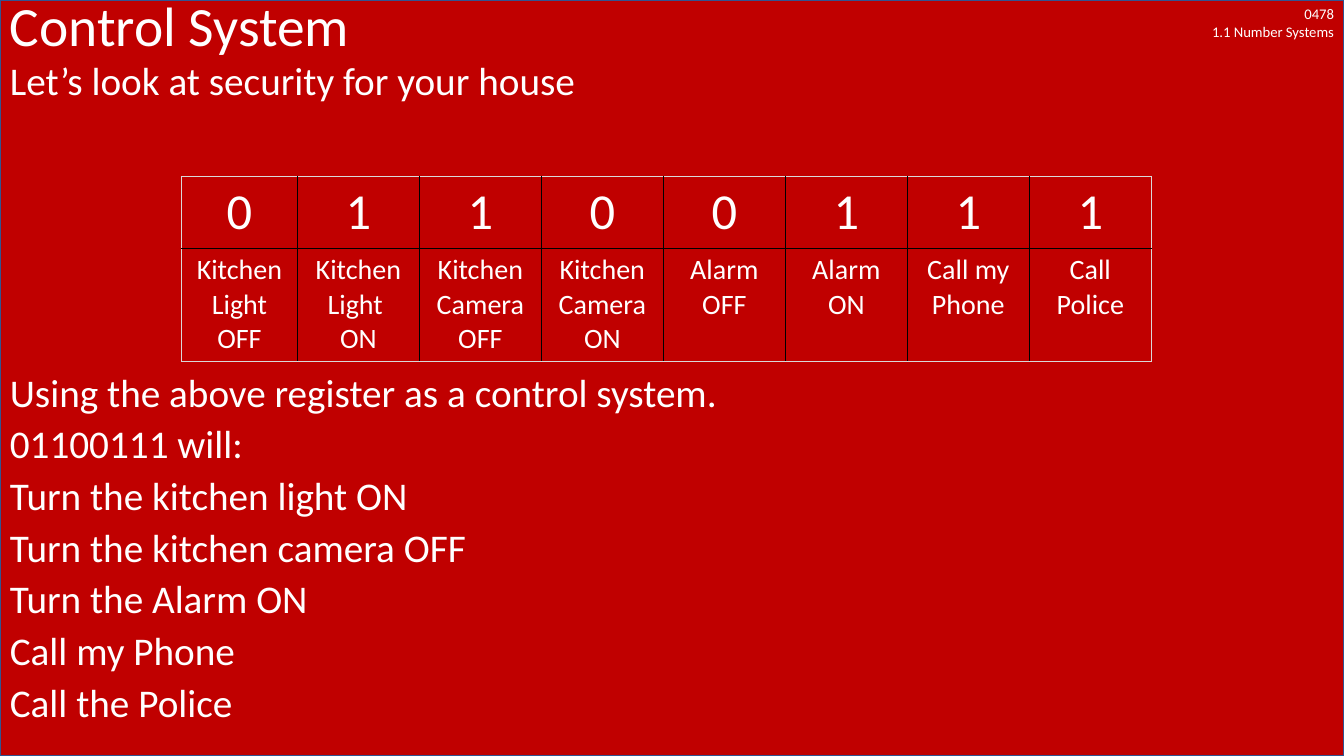
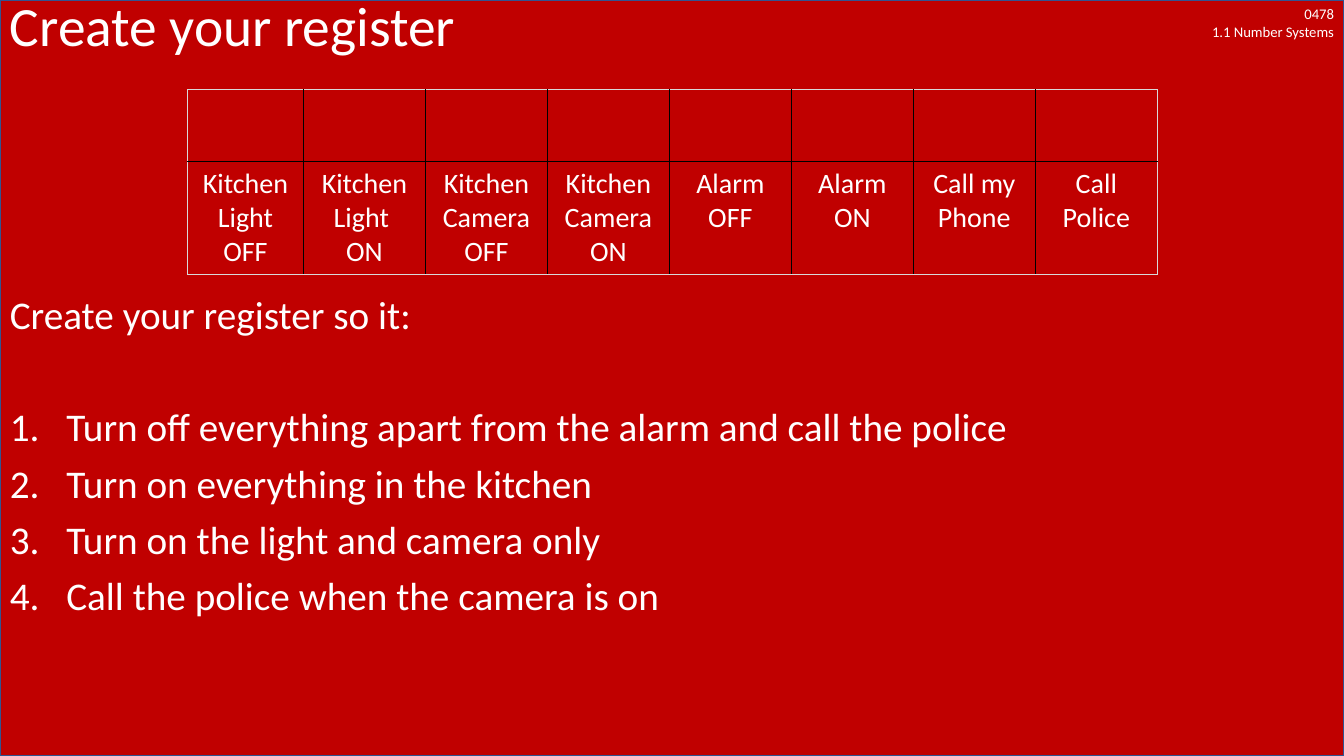
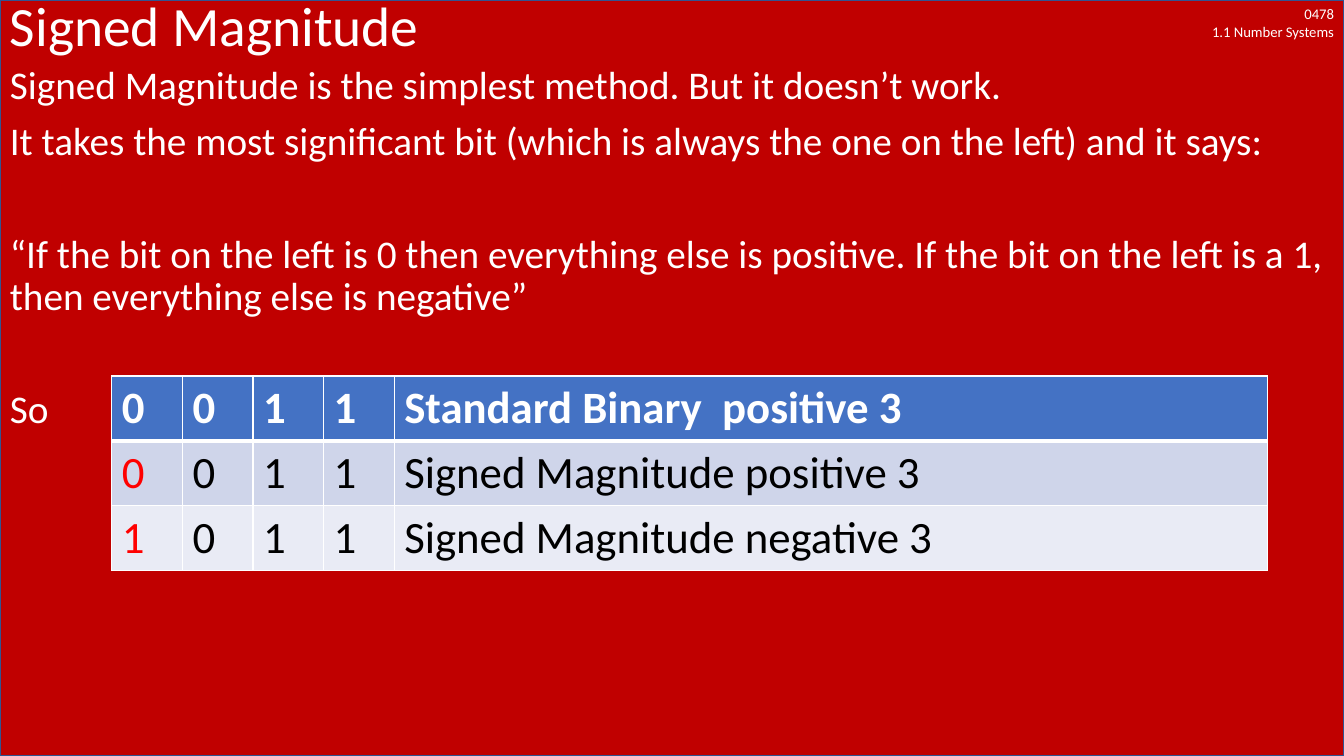
from dataclasses import dataclass

from lxml import etree
from pptx import Presentation
from pptx import util as u
from pptx.dml.color import RGBColor
from pptx.enum import shapes, text as t
from pptx.oxml.ns import qn


@dataclass(frozen=True)
class Theme:
    font: str = "Calibri"
    red: str = "C00000"
    frame: str = "325491"
    white: str = "FFFFFF"
    black: str = "000000"
    table_edge: str = "D9D9D9"
    table_head: str = "4472C4"
    bands: tuple = ("CFD5EA", "E9EBF5")
    sign_bit: str = "FF0000"
    title_size: float = 39.6
    body_size: float = 28
    header_size: float = 10.5
    bit_size: float = 36
    label_size: float = 20
    example_size: float = 32


THEME = Theme()
WIDTH, HEIGHT = 13.33, 7.5
PARAGRAPH_GAP = 10
SECTION_GAP = 50.3  # points: one skipped line and its spacing
NUMBER_INDENT = 0.56
REGISTER_COLUMNS = [1.15] + [1.21] * 7
REGISTER_ROWS = [0.71, 1.12]
REGISTER_LABELS = [
    "Kitchen Light OFF", "Kitchen Light \nON",
    "Kitchen Camera OFF", "Kitchen Camera ON",
    "Alarm OFF", "Alarm ON", "Call my Phone", "Call Police",
]


def write(frame, text, size=THEME.body_size, color=THEME.white, bold=False,
          align=t.PP_ALIGN.LEFT, spacing=1.0, before=0, numbered=False):
    """Append each line of text to the frame as a formatted paragraph."""
    for line in text.split("\n"):
        is_first = len(frame.paragraphs) == 1 and not frame.paragraphs[0].runs
        para = frame.paragraphs[0] if is_first else frame.add_paragraph()
        if numbered:
            props = para._p.get_or_add_pPr()
            props.set("marL", str(u.Inches(NUMBER_INDENT)))
            props.set("indent", str(-u.Inches(NUMBER_INDENT)))
            etree.SubElement(props, qn("a:buAutoNum"), type="arabicPeriod")
        para.alignment = align
        para.line_spacing = spacing
        para.space_before = u.Pt(0 if is_first else before)
        span = para.add_run()
        span.text = line
        span.font.name = THEME.font
        span.font.size = u.Pt(size)
        span.font.bold = bold
        span.font.color.rgb = RGBColor.from_string(color)


def set_borders(cell, **sides):
    """Draw cell sides L, R, T, B, each given as (colour, points)."""
    props = cell._tc.get_or_add_tcPr()
    for index, side in enumerate("LRTB"):
        color, points = sides[side]
        line = etree.Element(qn(f"a:ln{side}"), w=str(u.Pt(points)))
        fill = etree.SubElement(line, qn("a:solidFill"))
        etree.SubElement(fill, qn("a:srgbClr"), val=color)
        props.insert(index, line)


class Lesson:
    def __init__(self):
        self.deck = Presentation()
        self.deck.slide_width = u.Inches(WIDTH)
        self.deck.slide_height = u.Inches(HEIGHT)
        self.page = None

    def start_page(self, title):
        self.page = self.deck.slides.add_slide(self.deck.slide_layouts[6])
        back = self.page.shapes.add_shape(
            shapes.MSO_SHAPE.RECTANGLE, 0, 0, u.Inches(WIDTH), u.Inches(HEIGHT))
        back.shadow.inherit = False
        back.fill.solid()
        back.fill.fore_color.rgb = RGBColor.from_string(THEME.red)
        back.line.color.rgb = RGBColor.from_string(THEME.frame)
        back.line.width = u.Pt(1)
        write(self.box(11.23, 0, 2.1, 0.45), "0478\n1.1 Number Systems",
              size=THEME.header_size, align=t.PP_ALIGN.RIGHT)
        write(self.box(0, 0, WIDTH, 0.56, t.MSO_ANCHOR.MIDDLE), title,
              size=THEME.title_size, spacing=0.9)

    def box(self, left, top, width, height, anchor=t.MSO_ANCHOR.TOP):
        box = self.page.shapes.add_textbox(
            u.Inches(left), u.Inches(top), u.Inches(width), u.Inches(height))
        frame = box.text_frame
        frame.word_wrap = True
        frame.auto_size = t.MSO_AUTO_SIZE.NONE
        frame.vertical_anchor = anchor
        return frame

    def body(self, top, sections, spacing=0.9, numbered=()):
        """Write sections from top down, with a wide gap between them."""
        frame = self.box(0, top, WIDTH, HEIGHT - top)
        for index, section in enumerate(sections):
            for row, line in enumerate(section):
                wide = index > 0 and row == 0
                write(frame, line, spacing=spacing,
                      before=SECTION_GAP if wide else PARAGRAPH_GAP,
                      numbered=index in numbered)

    def table(self, left, top, columns, rows):
        table = self.page.shapes.add_table(
            len(rows), len(columns), u.Inches(left), u.Inches(top),
            u.Inches(sum(columns)), u.Inches(sum(rows))).table
        table.first_row = table.horz_banding = False
        for column, width in zip(table.columns, columns):
            column.width = u.Inches(width)
        for row, height in zip(table.rows, rows):
            row.height = u.Inches(height)
        return table

    def register(self, left, top, bits=""):
        table = self.table(left, top, REGISTER_COLUMNS, REGISTER_ROWS)
        last = len(REGISTER_COLUMNS) - 1
        inner, outer = (THEME.black, 1), (THEME.table_edge, 1)
        for column, label in enumerate(REGISTER_LABELS):
            for row in range(2):
                cell = table.cell(row, column)
                cell.fill.background()
                set_borders(cell,
                            L=outer if column == 0 else inner,
                            R=outer if column == last else inner,
                            T=inner if row else outer,
                            B=outer if row else inner)
            write(table.cell(1, column).text_frame, label,
                  size=THEME.label_size, align=t.PP_ALIGN.CENTER)
        for column, bit in enumerate(bits):
            write(table.cell(0, column).text_frame, bit,
                  size=THEME.bit_size, align=t.PP_ALIGN.CENTER)

    def examples(self, left, top, rows):
        """Table of bit patterns and meanings; the first row is the heading."""
        table = self.table(left, top, [0.7] * 4 + [8.66], [0.64] * len(rows))
        thin, thick = (THEME.white, 1), (THEME.white, 3)
        fills = (THEME.table_head, *THEME.bands)
        for row, (bits, meaning) in enumerate(rows):
            for column, value in enumerate([*bits, meaning]):
                cell = table.cell(row, column)
                cell.fill.solid()
                cell.fill.fore_color.rgb = RGBColor.from_string(fills[row])
                set_borders(cell, L=thin, R=thin,
                            T=thick if row == 1 else thin,
                            B=thick if row == 0 else thin)
                color = THEME.sign_bit if column == 0 else THEME.black
                write(cell.text_frame, value, size=THEME.example_size,
                      bold=row == 0, color=color if row else THEME.white)


def main():
    lesson = Lesson()

    lesson.start_page("Control System")
    lesson.body(0.6, [["Let’s look at security for your house"]], spacing=0.8)
    lesson.body(3.69, [[
        "Using the above register as a control system.",
        "01100111 will:",
        "Turn the kitchen light ON",
        "Turn the kitchen camera OFF",
        "Turn the Alarm ON",
        "Call my Phone",
        "Call the Police",
    ]], spacing=0.8)
    lesson.register(1.8, 1.75, "01100111")

    lesson.start_page("Create your register")
    lesson.body(2.88, [
        ["Create your register so it:"],
        ["Turn off everything apart from the alarm and call the police",
         "Turn on everything in the kitchen",
         "Turn on the light and camera only",
         "Call the police when the camera is on"],
    ], numbered=(1,))
    lesson.register(1.86, 0.89)

    lesson.start_page("Signed Magnitude")
    lesson.body(0.6, [
        ["Signed Magnitude is the simplest method. But it doesn’t work.",
         "It takes the most significant bit (which is always the one on the "
         "left) and it says:"],
        ["“If the bit on the left is 0 then everything else is positive. If "
         "the bit on the left is a 1, then everything else is negative”"],
        ["So"],
    ])
    lesson.examples(1.11, 3.73, [
        ("0011", "Standard Binary  positive 3"),
        ("0011", "Signed Magnitude positive 3"),
        ("1011", "Signed Magnitude negative 3"),
    ])

    lesson.deck.save("out.pptx")


if __name__ == "__main__":
    main()
